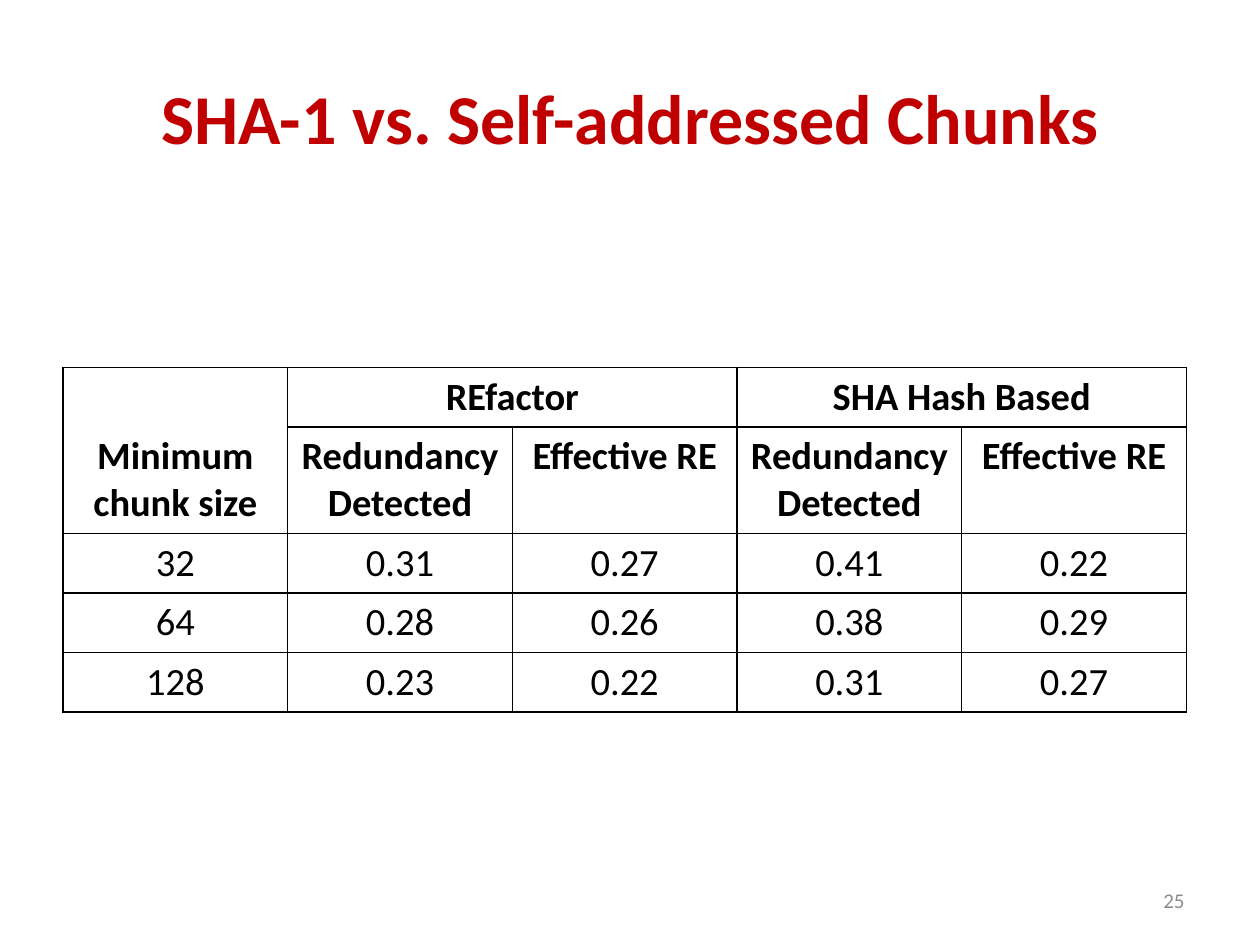
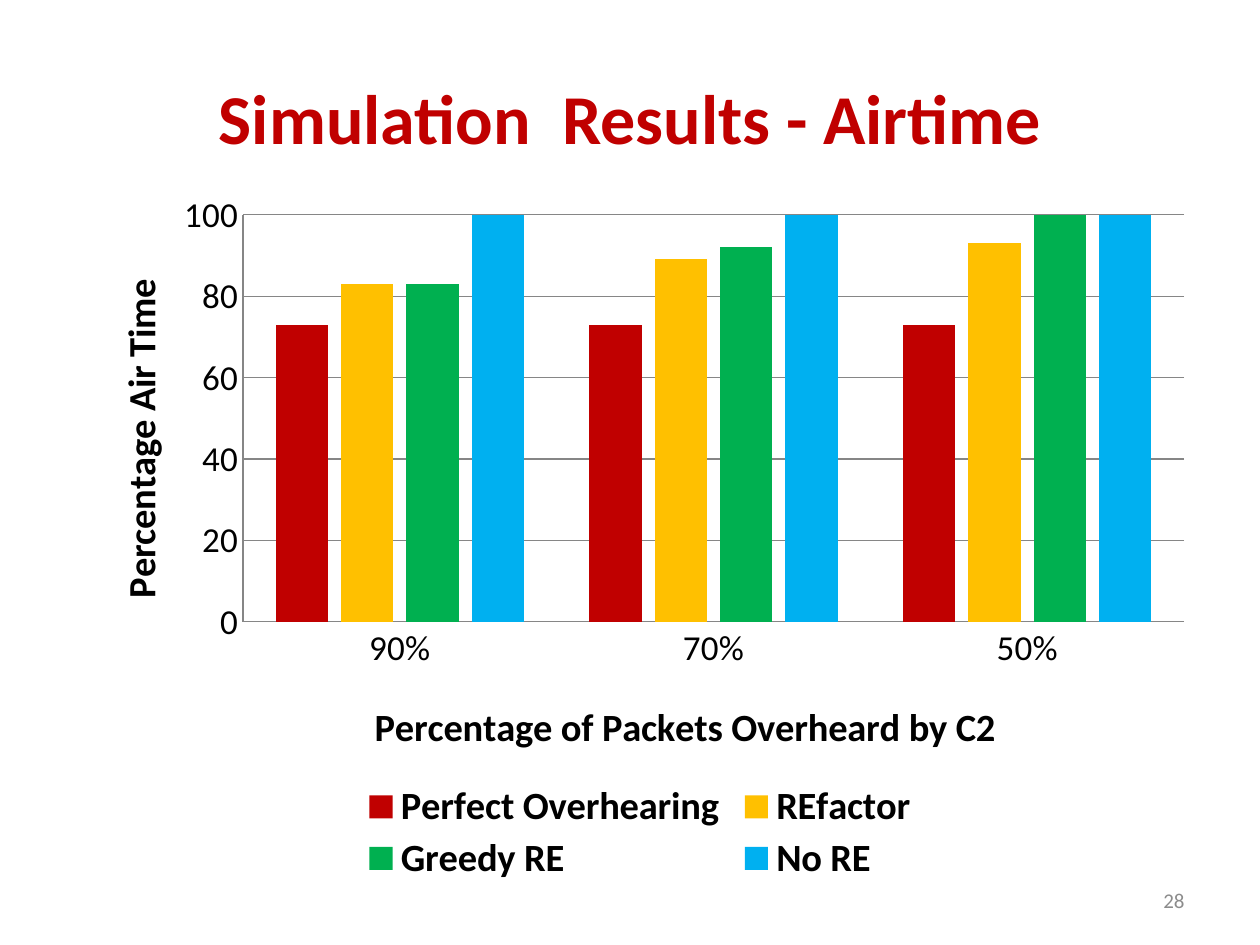
from dataclasses import dataclass

import pptx
import pptx.chart.data
import pptx.dml.color
import pptx.enum.chart
import pptx.enum.text
import pptx.oxml.ns
import pptx.util

Cm = pptx.util.Cm
Pt = pptx.util.Pt
qn = pptx.oxml.ns.qn
Align = pptx.enum.text.PP_ALIGN
Anchor = pptx.enum.text.MSO_ANCHOR


@dataclass(frozen=True)
class Theme:
    font: str = "Calibri"
    accent: str = "C00000"
    text: str = "000000"
    muted: str = "8C8C8C"
    grid: str = "868686"
    series: tuple = ("C00000", "FFC000", "00B050", "00B0F0")
    title_size: int = 40
    label_size: int = 22
    tick_size: int = 20
    number_size: int = 12
    line_width: float = 1


def rgb(color):
    return pptx.dml.color.RGBColor.from_string(color)


def add_xml(parent, tag, index=None, **attributes):
    child = parent.makeelement(qn(tag), attributes)
    parent.insert(len(parent) if index is None else index, child)
    return child


def place(element, index, **fractions):
    """Give a chart part a manual layout in fractions of the chart area."""
    for previous in element.findall(qn("c:layout")):
        element.remove(previous)
    layout = add_xml(add_xml(element, "c:layout", index), "c:manualLayout")
    if element.tag == qn("c:plotArea"):
        add_xml(layout, "c:layoutTarget", val="inner")
    for mode in ("xMode", "yMode"):
        add_xml(layout, f"c:{mode}", val="edge")
    for name, value in fractions.items():
        add_xml(layout, f"c:{name}", val=str(value))


class DeckBuilder:
    def __init__(self, theme):
        self.theme = theme
        self.deck = pptx.Presentation()
        self.deck.slide_width, self.deck.slide_height = Cm(25.4), Cm(19.05)
        self.page = None

    def style(self, font, size, color=None, bold=False):
        font.name, font.size, font.bold = self.theme.font, Pt(size), bold
        font.color.rgb = rgb(color or self.theme.text)

    def set_text(self, frame, text, size, color=None, bold=False,
                 align=Align.CENTER):
        frame.text = text
        paragraph = frame.paragraphs[0]
        paragraph.alignment = align
        self.style(paragraph.font, size, color, bold)

    def add_page(self, title, number):
        theme = self.theme
        self.page = self.deck.slides.add_slide(self.deck.slide_layouts[5])
        heading = self.page.shapes.title
        heading.left, heading.top = Cm(1.27), Cm(0.76)
        heading.width, heading.height = Cm(22.86), Cm(3.18)
        heading.text_frame.vertical_anchor = Anchor.MIDDLE
        self.set_text(heading.text_frame, title, theme.title_size,
                      theme.accent, True)
        box = self.page.shapes.add_textbox(Cm(18.2), Cm(17.65), Cm(5.93), Cm(1.01))
        box.text_frame.word_wrap = True
        box.text_frame.vertical_anchor = Anchor.MIDDLE
        self.set_text(box.text_frame, str(number), theme.number_size,
                      theme.muted, align=Align.RIGHT)

    def add_borders(self, cell):
        properties = cell._tc.get_or_add_tcPr()
        width = str(Pt(self.theme.line_width))
        for index, side in enumerate("LRTB"):
            line = add_xml(properties, f"a:ln{side}", index, w=width)
            fill = add_xml(line, "a:solidFill")
            add_xml(fill, "a:srgbClr", val=self.theme.text)

    def add_table(self, rows, merges, row_heights, header_rows, left, top, width):
        table = self.page.shapes.add_table(
            len(rows), len(rows[0]), left, top, width, sum(row_heights)).table
        table.first_row = table.horz_banding = False
        for row, height in zip(table.rows, row_heights):
            row.height = height
        for row_index, values in enumerate(rows):
            for column_index, value in enumerate(values):
                cell = table.cell(row_index, column_index)
                cell.fill.background()
                self.add_borders(cell)
                if value:
                    self.set_text(cell.text_frame, value, self.theme.label_size,
                                  bold=row_index < header_rows)
        for first, last in merges:
            table.cell(*first).merge(table.cell(*last))
        table.cell(0, 0).vertical_anchor = Anchor.BOTTOM

    def style_axis(self, axis, title):
        axis.major_tick_mark = pptx.enum.chart.XL_TICK_MARK.NONE
        axis.minor_tick_mark = pptx.enum.chart.XL_TICK_MARK.NONE
        axis.format.line.color.rgb = rgb(self.theme.grid)
        self.style(axis.tick_labels.font, self.theme.tick_size)
        self.set_text(axis.axis_title.text_frame, title, self.theme.label_size,
                      bold=True)

    def add_column_chart(self, categories, series, category_title, value_title,
                         left, top, width, height):
        theme = self.theme
        data = pptx.chart.data.CategoryChartData()
        data.categories = categories
        for name, values in series.items():
            data.add_series(name, values)
        chart = self.page.shapes.add_chart(
            pptx.enum.chart.XL_CHART_TYPE.COLUMN_CLUSTERED,
            left, top, width, height, data).chart
        chart.has_title = False
        self.style(chart.font, theme.tick_size)

        plot = chart.plots[0]
        plot.gap_width, plot.overlap = 125, -25
        plot.vary_by_categories = False
        for column, color in zip(plot.series, theme.series):
            column.format.fill.solid()
            column.format.fill.fore_color.rgb = rgb(color)

        self.style_axis(chart.category_axis, category_title)
        value_axis = chart.value_axis
        self.style_axis(value_axis, value_title)
        value_axis.minimum_scale, value_axis.maximum_scale = 0, 100
        value_axis.major_unit = 20
        value_axis.has_major_gridlines = True
        value_axis.major_gridlines.format.line.color.rgb = rgb(theme.grid)

        chart.has_legend = True
        chart.legend.position = pptx.enum.chart.XL_LEGEND_POSITION.BOTTOM
        chart.legend.include_in_layout = False
        self.style(chart.legend.font, theme.label_size, bold=True)
        return chart


def add_comparison_page(builder):
    builder.add_page("SHA-1 vs. Self-addressed Chunks", 25)
    measures = ["Redundancy Detected", "Effective RE"]
    rows = [
        ["Minimum chunk size", "REfactor", "", "SHA Hash Based", ""],
        ["", *measures, *measures],
        ["32", "0.31", "0.27", "0.41", "0.22"],
        ["64", "0.28", "0.26", "0.38", "0.29"],
        ["128", "0.23", "0.22", "0.31", "0.27"],
    ]
    merges = [((0, 0), (1, 0)), ((0, 1), (0, 2)), ((0, 3), (0, 4))]
    heights = [Cm(1.2), Cm(2.14)] + [Cm(1.2)] * 3
    builder.add_table(rows, merges, heights, 2, Cm(1.27), Cm(7.41), Cm(22.65))


def add_airtime_page(builder):
    builder.add_page("Simulation  Results - Airtime", 28)
    airtime = {
        "Perfect Overhearing": (73, 73, 73),
        "REfactor": (83, 89, 93),
        "Greedy RE": (83, 92, 100),
        "No RE": (100, 100, 100),
    }
    chart = builder.add_column_chart(
        ["90%", "70%", "50%"], airtime,
        "Percentage of Packets Overheard by C2", "Percentage Air Time",
        Cm(1.47), Cm(3.61), Cm(22.86), Cm(14.4))
    root = chart.element
    place(root.find(".//" + qn("c:plotArea")), 0, x=0.15, y=0.05, w=0.83, h=0.57)
    place(root.find(".//" + qn("c:legend")), 1, x=0.25, y=0.84, w=0.5, h=0.15)
    place(chart.category_axis.axis_title.element, 1, x=0.26, y=0.72)
    place(chart.value_axis.axis_title.element, 1, x=0.03, y=0.13)


def main():
    builder = DeckBuilder(Theme())
    add_comparison_page(builder)
    add_airtime_page(builder)
    builder.deck.save("out.pptx")


if __name__ == "__main__":
    main()
